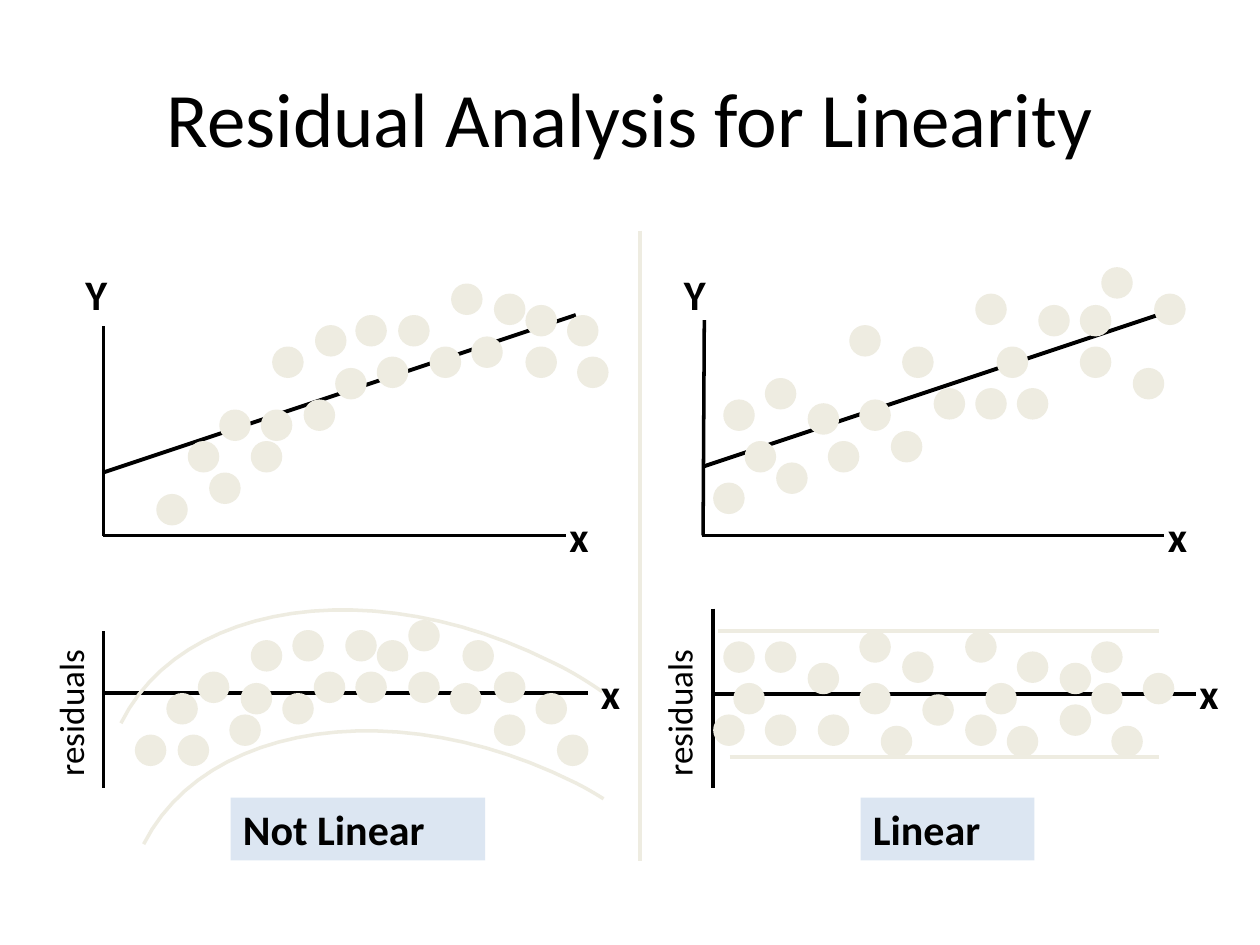
from lxml.etree import SubElement
from pptx import Presentation
from pptx.dml.color import RGBColor as RGB
from pptx.enum.shapes import MSO_CONNECTOR as Conn, MSO_SHAPE as Kind
from pptx.enum.text import MSO_ANCHOR as Anchor, PP_ALIGN as Align
from pptx.oxml.ns import qn
from pptx.util import Pt

PX = 9144  # 100 px to the inch
DOT = 25

THEME = {
    "font": "Calibri",
    "ink": RGB(0, 0, 0),
    "sand": RGB(0xEE, 0xEC, 0xE1),
    "pale": RGB(0xDC, 0xE6, 0xF2),
    "title": 44, "label": 24, "side": 20,
    "thin": 2, "thick": 2.25,
}

# Content: lines are x1, y1, x2, y2; dots are left, top
TITLE = ("Residual Analysis for Linearity", (50, 30, 900, 125))

AXES = [
    (82, 501, 82, 625), (82, 550, 467, 550),
    (566, 551, 949, 551), (566, 483, 566, 625),
    (82, 259, 82, 425), (82, 425, 449, 425),
    (559, 254, 558, 425), (557, 425, 924, 425),
]
FITS = [(82, 375, 457, 250), (559, 370, 934, 245)]
BANDS = [(570, 501, 920, 501), (579, 601, 920, 601)]
SPLIT = (508, 183, 508, 683)

# Each arc: a start point, then cubic pieces
ARCS = [
    ((96, 574), [((144, 477), (297, 455), (437, 525)),
                 ((452, 532), (465, 540), (478, 549))]),
    ((114, 670), [((163, 573), (316, 551), (456, 621)),
                  ((464, 625), (471, 629), (479, 634))]),
]

DOTS = {
    "curved residuals": [
        (107, 583), (141, 583), (299, 508), (324, 492), (357, 542), (182, 567),
        (367, 508), (392, 567), (392, 533), (425, 550), (324, 533), (249, 533),
        (274, 500), (232, 500), (132, 550), (157, 533), (191, 542), (282, 533),
        (199, 508), (442, 583), (224, 550)],
    "even residuals": [
        (641, 526), (607, 509), (566, 567), (582, 542), (574, 509), (682, 542),
        (682, 501), (607, 567), (766, 501), (716, 517), (699, 576), (649, 567),
        (841, 526), (766, 567), (732, 551), (841, 559), (782, 542), (799, 576),
        (807, 517), (882, 576), (866, 509), (907, 534), (866, 542)],
    "curved scatter": [
        (124, 392), (166, 375), (316, 250), (341, 275), (392, 233), (199, 350),
        (374, 267), (417, 275), (417, 242), (450, 250), (358, 225), (266, 292),
        (282, 250), (250, 258), (149, 350), (174, 325), (207, 325), (299, 283),
        (216, 275), (458, 283), (241, 317)],
    "even scatter": [
        (566, 383), (591, 350), (774, 233), (791, 275), (857, 242), (616, 367),
        (807, 308), (857, 275), (874, 212), (824, 242), (707, 342), (716, 275),
        (674, 258), (574, 317), (607, 300), (641, 320), (741, 308), (682, 317),
        (899, 292), (657, 350), (916, 233), (774, 308)],
}

NAMES = [("Not Linear", (183, 633, 202, 50)), ("Linear", (683, 633, 138, 50))]
MARKS = [
    ("Y", (58, 208, 42, 50)), ("x", (442, 400, 51, 50)),
    ("x", (467, 525, 42, 50)),
    ("Y", (533, 208, 42, 50)), ("x", (917, 400, 43, 50)),
    ("x", (942, 525, 44, 50)),
]
SIDES = [("residuals", (-16, 533, 143, 43)), ("residuals", (467, 533, 143, 43))]


def emu(box):
    return [v * PX for v in box]


def line(slide, ends, color, width):
    item = slide.shapes.add_connector(Conn.STRAIGHT, *emu(ends))
    item.line.color.rgb = THEME[color]
    item.line.width = Pt(THEME[width])
    SubElement(item._element.spPr, qn("a:effectLst"))


def solid(slide, kind, box, color):
    item = slide.shapes.add_shape(kind, *emu(box))
    item.shadow.inherit = False
    item.fill.solid()
    item.fill.fore_color.rgb = THEME[color]
    item.line.fill.background()
    return item


def write(item, text, size, bold=False, align=Align.LEFT, anchor=Anchor.TOP):
    frame = item.text_frame
    frame.word_wrap = True
    frame.vertical_anchor = anchor
    para = frame.paragraphs[0]
    para.alignment = align
    run = para.add_run()
    run.text = text
    font = run.font
    font.name = THEME["font"]
    font.size = Pt(THEME[size])
    font.bold = bold
    font.color.rgb = THEME["ink"]


def label(slide, text, box, size, turn=0, **style):
    item = slide.shapes.add_textbox(*emu(box))
    item.rotation = turn
    write(item, text, size, **style)


def curve(start, parts, steps=24):
    """Points along joined cubic pieces."""
    points = [start]
    for b, c, d in parts:
        a = points[-1]
        for n in range(1, steps + 1):
            t = n / steps
            u = 1 - t
            mix = (u ** 3, 3 * u * u * t, 3 * u * t * t, t ** 3)
            points.append(tuple(sum(m * p[k] for m, p in zip(mix, (a, b, c, d)))
                                for k in (0, 1)))
    return points


def arc(slide, start, parts):
    first, *rest = [(round(x * PX), round(y * PX)) for x, y in curve(start, parts)]
    pen = slide.shapes.build_freeform(*first)
    pen.add_line_segments(rest, close=False)
    item = pen.convert_to_shape()
    item.shadow.inherit = False
    item.fill.background()
    item.line.color.rgb = THEME["sand"]
    item.line.width = Pt(THEME["thin"])


def main():
    deck = Presentation()
    deck.slide_width, deck.slide_height = emu((1000, 750))
    slide = deck.slides.add_slide(deck.slide_layouts[6])

    # Title and panel names
    label(slide, *TITLE, "title", align=Align.CENTER, anchor=Anchor.MIDDLE)
    for text, box in NAMES:
        write(solid(slide, Kind.RECTANGLE, box, "pale"), text, "label", bold=True)

    # Axes, fitted lines and residual bands
    for group, color, width in ((AXES, "ink", "thin"), (FITS, "ink", "thick"),
                                (BANDS, "sand", "thin"), ([SPLIT], "sand", "thick")):
        for ends in group:
            line(slide, ends, color, width)
    for start, parts in ARCS:
        arc(slide, start, parts)

    # Data points
    for group in DOTS.values():
        for x, y in group:
            solid(slide, Kind.OVAL, (x, y, DOT, DOT), "sand")

    # Axis labels
    for text, box in MARKS:
        label(slide, text, box, "label", bold=True)
    for text, box in SIDES:
        label(slide, text, box, "side", turn=270)

    deck.save("out.pptx")


if __name__ == "__main__":
    main()
